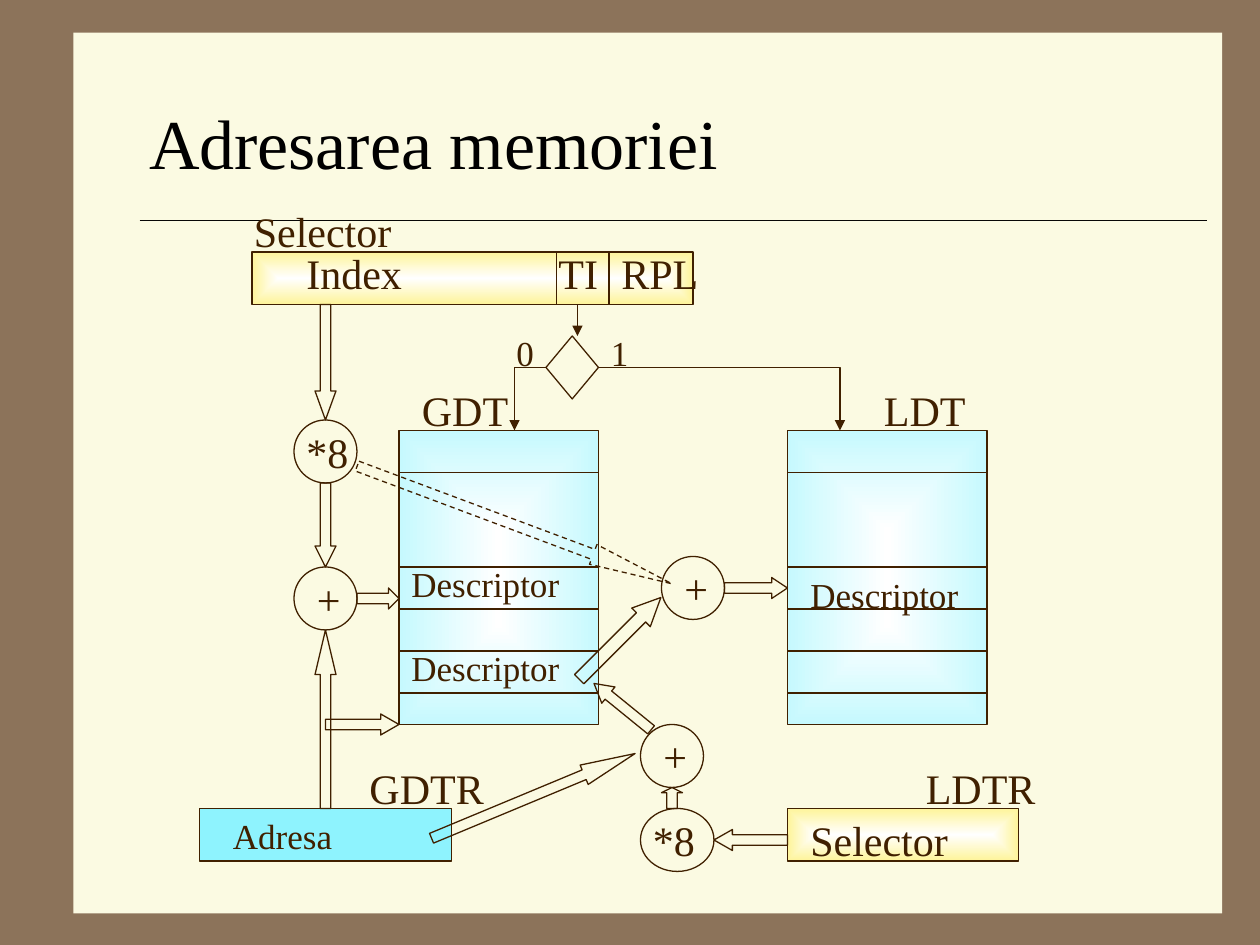
from lxml import etree
from pptx import Presentation
from pptx.dml.color import RGBColor
from pptx.enum.dml import MSO_LINE
from pptx.enum.shapes import MSO_CONNECTOR, MSO_SHAPE
from pptx.enum.text import MSO_ANCHOR, MSO_AUTO_SIZE, PP_ALIGN
from pptx.oxml.ns import qn
from pptx.util import Inches, Pt

RECT, OVAL, DIAMOND = MSO_SHAPE.RECTANGLE, MSO_SHAPE.OVAL, MSO_SHAPE.DIAMOND
UP, DOWN = MSO_SHAPE.UP_ARROW, MSO_SHAPE.DOWN_ARROW
LEFT, RIGHT = MSO_SHAPE.LEFT_ARROW, MSO_SHAPE.RIGHT_ARROW
STRAIGHT = MSO_CONNECTOR.STRAIGHT

FRAME = RGBColor(0x8C, 0x73, 0x5A)
PAPER = RGBColor(0xFB, 0xFA, 0xE2)
RULE = RGBColor(0x07, 0x06, 0x05)
BLACK = RGBColor(0, 0, 0)
WHITE = RGBColor(255, 255, 255)
BROWN = RGBColor(0x40, 0x20, 0x00)
YELLOW = RGBColor(0xFE, 0xF4, 0x9A)
PALE_CYAN = RGBColor(0xC6, 0xF9, 0xFE)
CYAN = RGBColor(0x8E, 0xF3, 0xFE)
FONT = "Times New Roman"

# Table rows, and the size shared by both descriptor tables, in grid units
TABLE_TOP, TABLE_W, TABLE_H = 41, 19, 28
ROW_LINES = (45, 54, 58, 62, 66)


def grid(*units):
    """Lengths on a grid of 12 units to the inch (120 columns, 90 rows)."""
    return [Inches(u / 12) for u in units]


def style_font(p, size, color):
    for r in p.runs:
        r.font.name, r.font.size = FONT, Pt(size)
        r.font.color.rgb = color


def style_line(line, color=BROWN, width=0.75):
    line.color.rgb = color
    line.width = Pt(width)


def add_arrowhead(sp):
    ln = sp.line._get_or_add_ln()
    etree.SubElement(ln, qn("a:tailEnd"), type="triangle")


def add_shape(s, kind, at, fill=None, adj=(), rot=0):
    sp = s.shapes.add_shape(kind, *grid(*at))
    sp.shadow.inherit = False
    sp.rotation = rot
    for i, value in enumerate(adj):
        sp.adjustments[i] = value
    if fill is None:
        sp.fill.background()
    else:
        sp.fill.solid()
        sp.fill.fore_color.rgb = fill
    style_line(sp.line)
    return sp


def add_glow_box(s, at, color):
    """Rectangle shading from a white centre to coloured edges."""
    sp = add_shape(s, RECT, at)
    sp.fill.gradient()
    for stop, rgb in zip(sp.fill.gradient_stops, (WHITE, color)):
        stop.color.rgb = rgb
    grad = sp.element.spPr.find(qn("a:gradFill"))
    lin = grad.find(qn("a:lin"))
    shade = etree.Element(qn("a:path"), path="rect")
    etree.SubElement(shade, qn("a:fillToRect"),
                     {side: "50000" for side in "ltrb"})
    grad.replace(lin, shade)


def add_line(s, ends, color=BROWN, width=0.75):
    cxn = s.shapes.add_connector(STRAIGHT, *grid(*ends))
    etree.SubElement(cxn.element.spPr, qn("a:effectLst"))
    style_line(cxn.line, color, width)
    return cxn


def add_branch(s, start, corner, end):
    """Bent line with an arrowhead at its end."""
    fb = s.shapes.build_freeform(*grid(*start))
    fb.add_line_segments([grid(*corner), grid(*end)], close=False)
    sp = fb.convert_to_shape()
    sp.shadow.inherit = False
    sp.fill.background()
    style_line(sp.line)
    add_arrowhead(sp)


def add_label(s, text, x, y, w, size=24):
    sp = s.shapes.add_textbox(*grid(x, y, w, size / 4))
    tf = sp.text_frame
    tf.word_wrap = True
    tf.text = text
    style_font(tf.paragraphs[0], size, BROWN)


def add_table_box(s, x):
    add_glow_box(s, (x, TABLE_TOP, TABLE_W, TABLE_H), PALE_CYAN)
    for y in ROW_LINES:
        add_line(s, (x, y, x + TABLE_W, y))


def add_frame_and_title(s):
    s.background.fill.solid()
    s.background.fill.fore_color.rgb = FRAME
    panel = add_shape(s, RECT, (7, 3.1, 109.4, 83.9), PAPER)
    panel.line.fill.background()
    add_line(s, (13.3, 21, 115, 21), RULE, 0.25)

    title = s.shapes.title
    s.shapes.element.append(title.element)  # in front of the panel
    title.left, title.top, title.width, title.height = grid(13, 6, 102, 15)
    tf = title.text_frame
    tf.text = "Adresarea memoriei"
    tf.auto_size = MSO_AUTO_SIZE.NONE
    tf.vertical_anchor = MSO_ANCHOR.MIDDLE
    tf.paragraphs[0].alignment = PP_ALIGN.LEFT
    style_font(tf.paragraphs[0], 40, BLACK)


def add_boxes(s):
    add_glow_box(s, (24, 24, 42, 5), YELLOW)
    for x in (53, 58):
        add_line(s, (x, 24, x, 29))
    for x in (38, 75):
        add_table_box(s, x)
    add_shape(s, RECT, (19, 77, 24, 5), CYAN)
    add_glow_box(s, (75, 77, 22, 5), YELLOW)
    add_shape(s, DIAMOND, (52, 32, 5, 6))
    for x, y, w in ((28, 40, 6), (28, 54, 6), (61, 69, 6),
                    (61, 77, 7), (63, 53, 6)):
        add_shape(s, OVAL, (x, y, w, 6))


def add_arrows(s):
    add_arrowhead(add_line(s, (55, 29, 55, 32)))
    add_branch(s, (52, 35), (49, 35), (49, TABLE_TOP))
    add_branch(s, (57, 35), (80, 35), (80, TABLE_TOP))
    for kind, at, head, rot in (
        (DOWN, (30, 29, 2, 11), 1.38, 0),
        (DOWN, (30, 46, 2, 8), 1, 0),
        (UP, (30, 60, 2, 17), 2.13, 0),
        (RIGHT, (34, 56, 4, 2), 0.5, 0),
        (RIGHT, (31, 68, 7, 2), 0.87, 0),
        (RIGHT, (40.3, 74.8, 21, 2), 2.63, 337.4),
        (LEFT, (68, 79, 7, 2), 0.88, 0),
        (UP, (63, 75, 2, 2), 0.25, 0),
        (UP, (58.3, 63.8, 2, 7), 0.88, 309.1),
        (UP, (57.8, 55.3, 2.5, 11), 1.07, 45),
        (RIGHT, (69, 55, 6, 2), 0.75, 0),
    ):
        add_shape(s, kind, at, adj=(0.5, head), rot=rot)
    dashed = add_shape(s, RIGHT, (33, 49, 32, 2), adj=(0.5, 4), rot=20.5)
    dashed.line.dash_style = MSO_LINE.DASH


def add_labels(s):
    for text, x, y, w in (
        ("Selector", 23, 19, 47), ("Index", 28, 23, 20),
        ("TI", 52, 23, 8), ("RPL", 58, 23, 11),
        ("GDT", 39, 36, 15), ("LDT", 83, 36, 15),
        ("GDTR", 34, 72, 15), ("LDTR", 87, 72, 24),
        ("Selector", 76, 77, 21),
        ("*8", 28, 40, 9), ("*8", 61, 77, 8),
        ("+", 29, 54, 6), ("+", 62, 69, 6), ("+", 64, 53, 6),
    ):
        add_label(s, text, x, y, w)
    for text, x, y, w in (
        ("0", 48, 31, 5), ("1", 57, 31, 6),
        ("Descriptor", 38, 53, 23), ("Descriptor", 38, 61, 21),
        ("Descriptor", 76, 54, 23), ("Adresa", 21, 77, 16),
    ):
        add_label(s, text, x, y, w, size=20)


def main():
    prs = Presentation()
    prs.slide_width, prs.slide_height = grid(120, 90)
    s = prs.slides.add_slide(prs.slide_layouts[5])
    add_frame_and_title(s)
    add_boxes(s)
    add_arrows(s)
    add_labels(s)
    prs.save("out.pptx")


if __name__ == "__main__":
    main()
